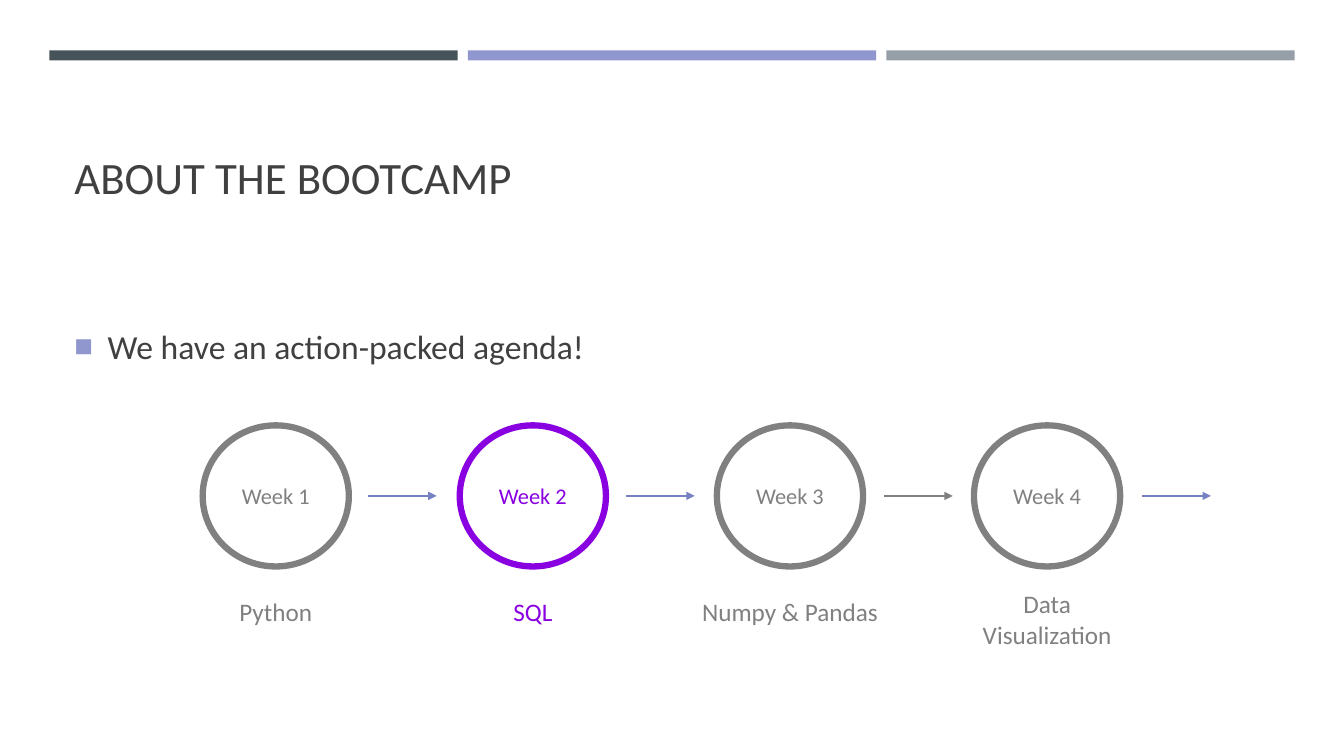
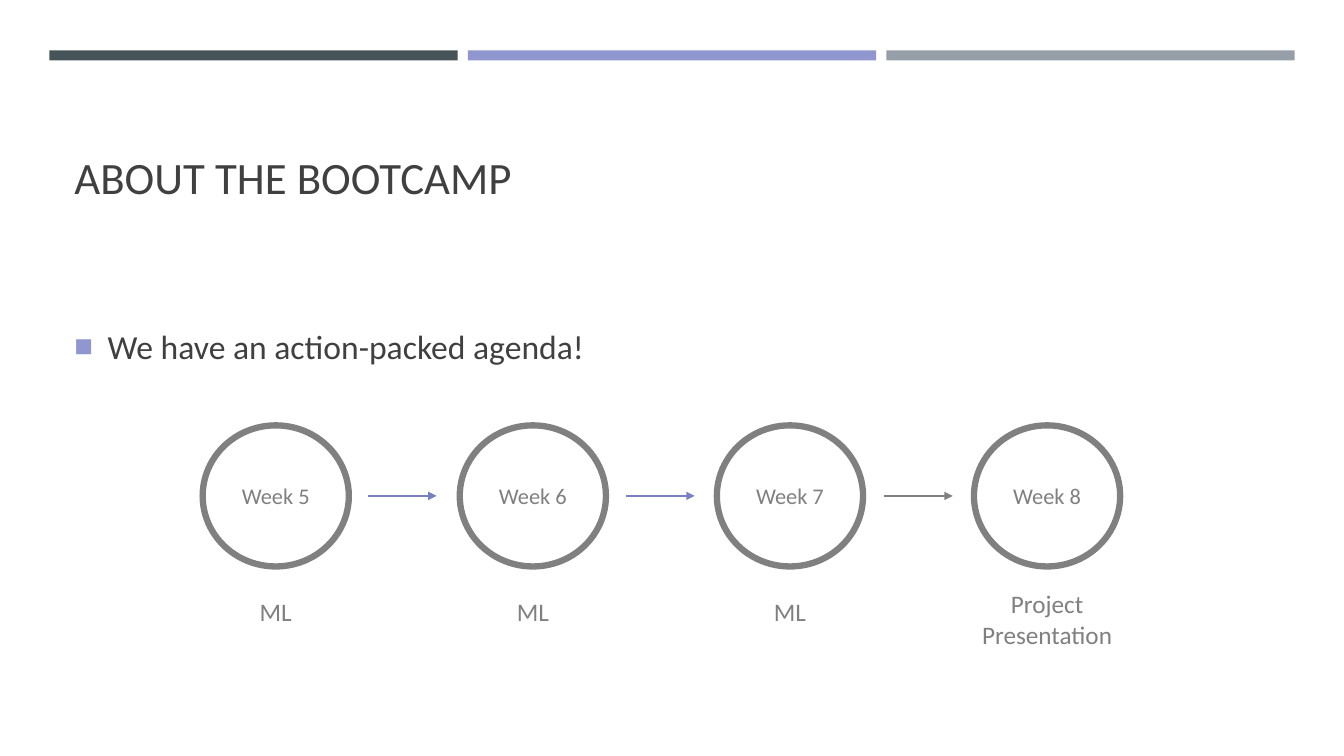
"""Build two bootcamp agenda slides, each a row of four weeks."""
import pptx
import pptx.util
import pptx.dml.color
import pptx.enum.shapes
import pptx.enum.text
from dataclasses import dataclass
from lxml import etree

Inches, Pt = pptx.util.Inches, pptx.util.Pt
RGB = pptx.dml.color.RGBColor.from_string
SHAPE = pptx.enum.shapes.MSO_SHAPE
ALIGN = pptx.enum.text.PP_ALIGN
ANCHOR = pptx.enum.text.MSO_ANCHOR


@dataclass(frozen=True)
class Theme:
    font: str = "Calibri"
    ink: str = "404040"
    gray: str = "808080"
    active: str = "8900E1"
    white: str = "FFFFFF"
    arrow: str = "7780C3"
    bullet: str = "8F97CE"
    bands: tuple = ("465359", "8F97CE", "969FA7")
    title: int = 32
    body: int = 24
    label: int = 18
    week: int = 16


T = Theme()


def write(shape, text, size, color, align=ALIGN.CENTER, anchor=ANCHOR.MIDDLE):
    tf = shape.text_frame
    tf.word_wrap = True
    tf.vertical_anchor = anchor
    p = tf.paragraphs[0]
    p.alignment = align
    r = p.add_run()
    r.text = text
    r.font.name = T.font
    r.font.size = Pt(size)
    r.font.color.rgb = RGB(color)
    return p


def add_xml(parent, tag, **attributes):
    return etree.SubElement(parent, pptx.oxml.ns.qn(tag), attributes)


agendas = [
    (["Python", "SQL", "Numpy & Pandas", "Data Visualization"], 2, 4),
    (["ML", "ML", "ML", "Project Presentation"], None, 3),
]
label_boxes = [(5.87, 1.3, 0.4), (5.87, 1.3, 0.4), (5.87, 2.2, 0.4), (5.79, 1.62, 0.71)]
arrow_colors = [T.arrow, T.arrow, T.gray, T.arrow]
circle_left, circle_top, circle_w, circle_h, step = 2.01, 4.22, 1.45, 1.4, 2.55
arrow_left, arrow_w, arrow_step = 3.65, 0.68, 2.56
arrow_y = Inches(circle_top + circle_h / 2)

prs = pptx.Presentation()
prs.slide_width, prs.slide_height = Inches(13.33), Inches(7.5)
week = 0

for topics, active_week, arrow_count in agendas:
    s = prs.slides.add_slide(prs.slide_layouts[6])

    for i, color in enumerate(T.bands):
        band = s.shapes.add_shape(SHAPE.RECTANGLE, Inches(0.49 + 4.15 * i), Inches(0.5),
                                  Inches(4.05), Inches(0.1))
        band.shadow.inherit = False
        band.fill.solid()
        band.fill.fore_color.rgb = RGB(color)
        band.line.fill.background()

    title = s.shapes.add_textbox(Inches(0.64), Inches(0.77), Inches(12.06), Inches(1.3))
    write(title, "ABOUT THE BOOTCAMP", T.title, T.ink, ALIGN.LEFT, ANCHOR.BOTTOM)

    body = s.shapes.add_textbox(Inches(0.64), Inches(2.47), Inches(12.06), Inches(1.88))
    p = write(body, "We have an action-packed agenda!", T.body, T.ink, ALIGN.LEFT)
    p.line_spacing = 1.1
    pPr = p._p.get_or_add_pPr()
    pPr.set("marL", str(Inches(0.33)))
    pPr.set("indent", str(-Inches(0.33)))
    add_xml(add_xml(pPr, "a:buClr"), "a:srgbClr", val=T.bullet)
    add_xml(pPr, "a:buSzPct", val="92000")
    add_xml(pPr, "a:buFont", typeface="Arial")
    add_xml(pPr, "a:buChar", char="■")

    for i, (topic, (top, width, height)) in enumerate(zip(topics, label_boxes)):
        week += 1
        color = T.active if week == active_week else T.gray
        left = circle_left + step * i
        circle = s.shapes.add_shape(SHAPE.OVAL, Inches(left), Inches(circle_top),
                                    Inches(circle_w), Inches(circle_h))
        circle.shadow.inherit = False
        circle.fill.solid()
        circle.fill.fore_color.rgb = RGB(T.white)
        circle.line.color.rgb = RGB(color)
        circle.line.width = Pt(4.5)
        write(circle, f"Week {week}", T.week, color)

        label = s.shapes.add_textbox(Inches(left + (circle_w - width) / 2), Inches(top),
                                     Inches(width), Inches(height))
        write(label, topic, T.label, color, anchor=ANCHOR.TOP)

    for i, color in enumerate(arrow_colors[:arrow_count]):
        x = arrow_left + arrow_step * i
        arrow = s.shapes.add_connector(pptx.enum.shapes.MSO_CONNECTOR.STRAIGHT,
                                       Inches(x), arrow_y, Inches(x + arrow_w), arrow_y)
        arrow.line.color.rgb = RGB(color)
        arrow.line.width = Pt(1)
        add_xml(arrow.line._get_or_add_ln(), "a:tailEnd", type="triangle")
        add_xml(arrow._element.spPr, "a:effectLst")

prs.save("out.pptx")
